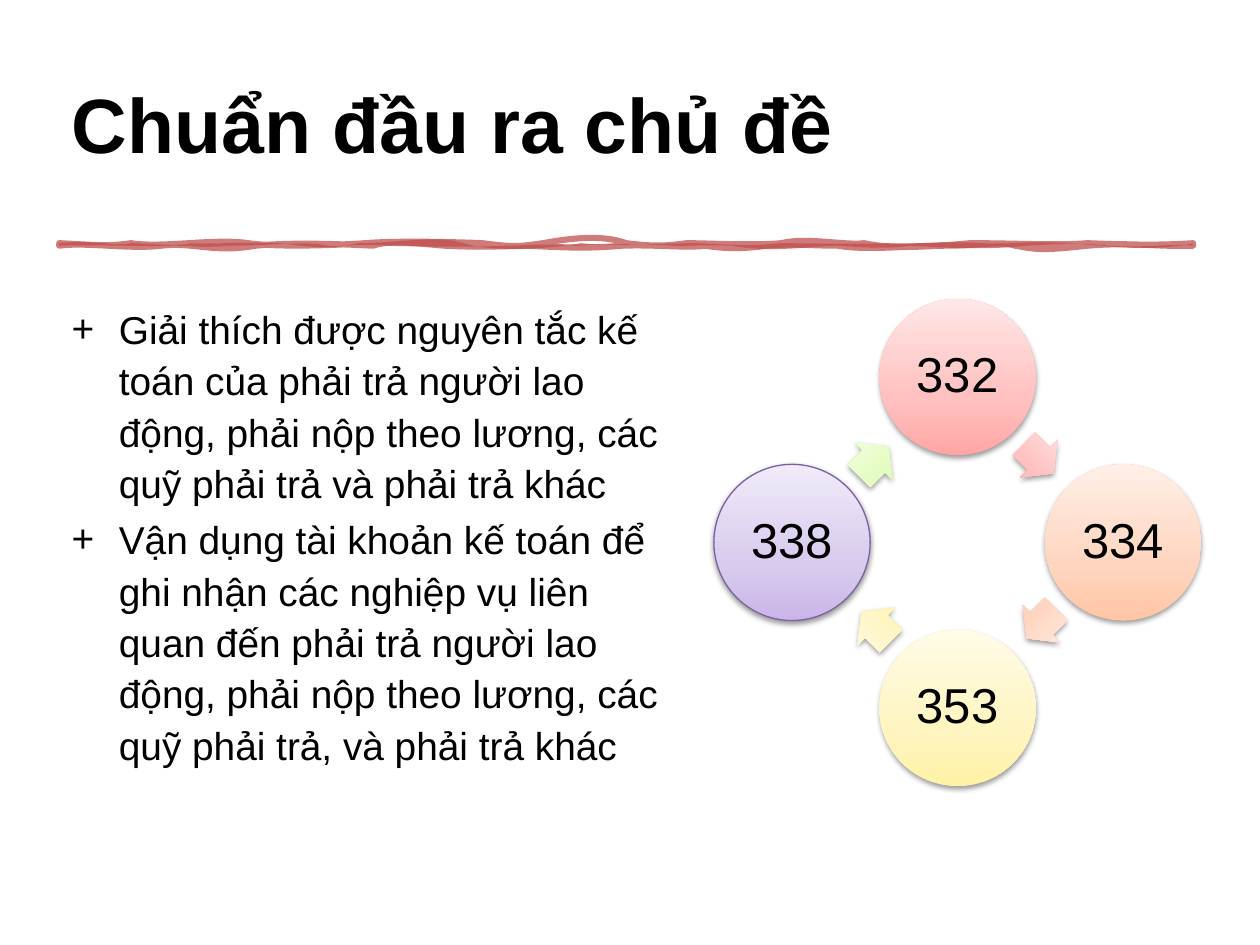
from copy import deepcopy

from pptx import Presentation
from pptx.dml.color import RGBColor
from pptx.enum.shapes import MSO_SHAPE
from pptx.enum.text import MSO_ANCHOR, PP_ALIGN
from pptx.oxml import parse_xml
from pptx.oxml.ns import nsdecls, qn
from pptx.util import Pt

ELLIPSE, ARROW = MSO_SHAPE.OVAL, MSO_SHAPE.RIGHT_ARROW
MIDDLE, BOTTOM = MSO_ANCHOR.MIDDLE, MSO_ANCHOR.BOTTOM
CENTER, JUSTIFY = PP_ALIGN.CENTER, PP_ALIGN.JUSTIFY

TITLE = "Chuẩn đầu ra chủ đề"
OUTCOMES = [
    "Giải thích được nguyên tắc kế toán của phải trả người lao động, "
    "phải nộp theo lương, các quỹ phải trả và phải trả khác",
    "Vận dụng tài khoản kế toán để ghi nhận các nghiệp vụ liên quan đến "
    "phải trả người lao động, phải nộp theo lương, các quỹ phải trả, "
    "và phải trả khác",
]
# Account, circle gradient, arrow gradient, outline; clockwise from the top
ACCOUNTS = [
    ("332", "red", "red", None),
    ("334", "orange", "orange", None),
    ("353", "yellow", "yellow", None),
    ("338", "purple", "green", "7D60A0"),
]
THEME = {
    "font": "Arial", "text": "000000", "rule": "C0504D",
    "title": 44, "body": 22.2, "account": 28,
    "stops": (0, 0.35, 1),
    "red": ("FFA6A5", "FFC0BF", "FFE7E7"),
    "orange": ("FFC5A5", "FFD5BF", "FFEFE7"),
    "yellow": ("FFF2A5", "FEF5C0", "FFFBE7"),
    "purple": ("C9B5E8", "D8CBEE", "F0EAF9"),
    "green": ("DAFDA7", "E4FCC2", "F5FFE7"),
}

# Hand-drawn rule in hundredths of an inch. Each curve holds control 1 (x, y),
# control 2 (x, y) and end x; y is measured from the edge the curve follows.
RULE_UNIT, RULE_LENGTH, RULE_HEIGHT = 0.72, 900, 2
STROKE_TOP = [
    (23, 1, 37, 3, 57), (82, 4, 123, -4, 150), (171, 3, 213, 2, 243),
    (267, -2, 312, -1, 336), (359, 3, 364, 3, 384), (406, -4, 431, -7, 450),
    (474, 3, 483, 2, 498), (513, 0, 552, 2, 573), (593, -5, 624, 2, 639),
    (657, 4, 678, 4, 723), (760, 0, 792, 2, 816), (841, 1, 873, 2, 900),
]
STROKE_BOTTOM = [
    (869, 1, 854, -3, 816), (780, 4, 775, 3, 759), (745, -4, 733, 0, 702),
    (673, 0, 642, 4, 618), (595, 0, 583, -2, 561), (542, 3, 524, 2, 513),
    (498, 2, 472, -1, 447), (421, 2, 410, 2, 372), (335, 1, 329, 1, 306),
    (280, -2, 265, -5, 249), (229, -1, 186, -3, 156), (121, 6, 108, -3, 81),
    (55, 3, 21, -3, 0),
]
FILL_TOP = [
    (30, -3, 43, 3, 57), (69, 0, 92, 3, 105), (118, 1, 144, -1, 162),
    (181, -2, 204, 8, 237), (269, 0, 301, -7, 321), (341, 7, 387, 5, 414),
    (444, 3, 471, 0, 507), (545, 2, 550, 2, 573), (595, 0, 629, 1, 657),
    (687, 1, 698, -2, 732), (764, 1, 767, -2, 798), (828, 1, 863, 8, 900),
]
FILL_BOTTOM = [
    (885, -2, 859, 2, 834), (815, -2, 800, -2, 768), (731, 4, 695, 1, 675),
    (658, 3, 631, 1, 618), (600, 0, 565, 6, 534), (500, -1, 498, 1, 486),
    (472, -1, 441, -2, 411), (377, -2, 368, 0, 354), (338, 1, 288, 1, 261),
    (234, -2, 230, 1, 213), (197, -4, 168, 0, 138), (108, 2, 112, 0, 90),
    (71, 1, 33, -1, 0),
]

RULE_AT = (33.84, 138.96)
CYCLE_CENTER, CYCLE_RADIUS, CIRCLE_SIZE = (547.2, 310), 94.6, 89.28
ARROW_OFFSET, ARROW_SIZE = (46.4, -47.9), (23.8, 30.2)


def color(value):
    return RGBColor.from_string(value)


def place(shape, left, top, width, height):
    shape.left, shape.top = Pt(left), Pt(top)
    shape.width, shape.height = Pt(width), Pt(height)


def write(paragraph, text, size, spacing, bold=False):
    run = paragraph.add_run()
    run.text = text
    run.font.name, run.font.size, run.font.bold = THEME["font"], Pt(size), bold
    run.font.color.rgb = color(THEME["text"])
    paragraph.line_spacing = spacing


def add_title(slide):
    title = slide.shapes.title
    place(title, 33.84, 18.72, 652.32, 81.36)
    title.text_frame.vertical_anchor = BOTTOM
    paragraph = title.text_frame.paragraphs[0]
    paragraph.alignment = JUSTIFY
    write(paragraph, TITLE, THEME["title"], 1.2, bold=True)


def path_xml(top, bottom, attribute):
    def curves(edge, base):
        return "".join(
            f'<a:cubicBezTo><a:pt x="{x1}" y="{base + y1}"/>'
            f'<a:pt x="{x2}" y="{base + y2}"/><a:pt x="{x}" y="{base}"/></a:cubicBezTo>'
            for x1, y1, x2, y2, x in edge)

    return parse_xml(
        f'<a:path {nsdecls("a")} w="{RULE_LENGTH}" h="{RULE_HEIGHT}" {attribute}>'
        f'<a:moveTo><a:pt x="0" y="0"/></a:moveTo>{curves(top, 0)}'
        f'<a:lnTo><a:pt x="{RULE_LENGTH}" y="{RULE_HEIGHT}"/></a:lnTo>'
        f'{curves(bottom, RULE_HEIGHT)}<a:close/></a:path>')


def add_rule(slide):
    """Draw the wavy rule: one stroked outline and one filled band."""
    builder = slide.shapes.build_freeform(0, 0, scale=Pt(RULE_UNIT))
    builder.add_line_segments(
        [(RULE_LENGTH, 0), (RULE_LENGTH, RULE_HEIGHT), (0, RULE_HEIGHT)])
    rule = builder.convert_to_shape(Pt(RULE_AT[0]), Pt(RULE_AT[1]))
    paths = rule._element.spPr.find(".//" + qn("a:pathLst"))
    paths[:] = [path_xml(STROKE_TOP, STROKE_BOTTOM, 'fill="none"'),
                path_xml(FILL_TOP, FILL_BOTTOM, 'stroke="0"')]
    rule.shadow.inherit = False
    rule.line.width = Pt(3.5)
    for fill in (rule.fill, rule.line.fill):
        fill.solid()
        fill.fore_color.rgb = color(THEME["rule"])
    for rgb in rule._element.spPr.iter(qn("a:srgbClr")):
        rgb.append(parse_xml(f'<a:alpha {nsdecls("a")} val="75000"/>'))


def add_outcomes(slide):
    box = slide.shapes.add_textbox(Pt(33.84), Pt(168.48), Pt(349.92), Pt(324))
    frame = box.text_frame
    frame.word_wrap = True
    for index, text in enumerate(OUTCOMES):
        paragraph = frame.add_paragraph() if index else frame.paragraphs[0]
        properties = paragraph._p.get_or_add_pPr()
        properties.set("marL", str(Pt(27)))
        properties.set("indent", str(-Pt(27)))
        properties.append(parse_xml(f'<a:buFont {nsdecls("a")} typeface="{THEME["font"]}"/>'))
        properties.append(parse_xml(f'<a:buChar {nsdecls("a")} char="+"/>'))
        write(paragraph, text, THEME["body"], 1.1)
        if index:
            paragraph.space_before = Pt(3)


def add_cycle_shape(slide, kind, center, size, gradient, outline=None):
    """Add a shape around its centre with a vertical gradient and soft shadow."""
    (x, y), (width, height) = center, size
    shape = slide.shapes.add_shape(
        kind, Pt(x - width / 2), Pt(y - height / 2), Pt(width), Pt(height))
    shape.fill.gradient()
    shape.fill.gradient_angle = 90
    stops = shape._element.spPr.find(".//" + qn("a:gsLst"))
    stops.insert(1, deepcopy(stops[0]))
    for stop, position, value in zip(
            shape.fill.gradient_stops, THEME["stops"], THEME[gradient]):
        stop.position, stop.color.rgb = position, color(value)
    if outline:
        shape.line.color.rgb, shape.line.width = color(outline), Pt(0.75)
    else:
        shape.line.fill.background()
    shape.shadow.inherit = False
    shape._element.spPr.find(qn("a:effectLst")).append(parse_xml(
        f'<a:outerShdw {nsdecls("a")} blurRad="{Pt(3.1)}" dist="{Pt(1.6)}" '
        'dir="5400000" rotWithShape="0"><a:srgbClr val="000000">'
        '<a:alpha val="38000"/></a:srgbClr></a:outerShdw>'))
    return shape


def add_cycle(slide):
    center_x, center_y = CYCLE_CENTER
    circle_x, circle_y = 0, -CYCLE_RADIUS
    arrow_x, arrow_y = ARROW_OFFSET
    for index, (account, circle_fill, arrow_fill, outline) in enumerate(ACCOUNTS):
        circle = add_cycle_shape(
            slide, ELLIPSE, (center_x + circle_x, center_y + circle_y),
            (CIRCLE_SIZE, CIRCLE_SIZE), circle_fill, outline)
        frame = circle.text_frame
        frame.vertical_anchor = MIDDLE
        frame.margin_left = frame.margin_right = Pt(2.8)
        frame.margin_top = frame.margin_bottom = Pt(2.8)
        frame.paragraphs[0].alignment = CENTER
        write(frame.paragraphs[0], account, THEME["account"], 0.9)

        arrow = add_cycle_shape(
            slide, ARROW, (center_x + arrow_x, center_y + arrow_y),
            ARROW_SIZE, arrow_fill)
        arrow.adjustments[0], arrow.adjustments[1] = 0.6, 0.5
        arrow.rotation = 45 + 90 * index
        # A quarter turn clockwise leads to the next account
        circle_x, circle_y = -circle_y, circle_x
        arrow_x, arrow_y = -arrow_y, arrow_x


def main():
    presentation = Presentation()
    presentation.slide_width, presentation.slide_height = Pt(720), Pt(540)
    slide = presentation.slides.add_slide(presentation.slide_layouts[5])
    add_title(slide)
    add_rule(slide)
    add_outcomes(slide)
    add_cycle(slide)
    presentation.save("out.pptx")


if __name__ == "__main__":
    main()
